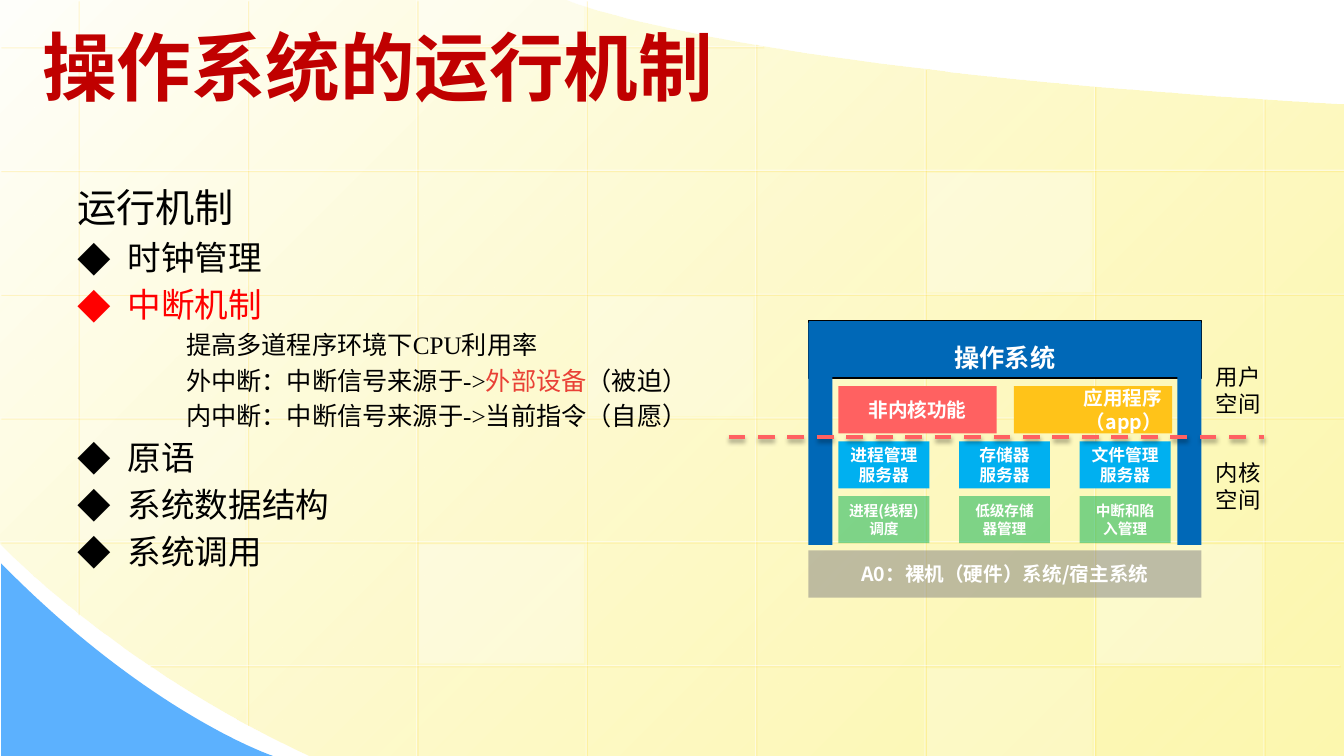
from lxml import etree
from pptx import Presentation
from pptx.dml.color import RGBColor
from pptx.enum.dml import MSO_LINE
from pptx.enum.shapes import MSO_CONNECTOR, MSO_SHAPE
from pptx.enum.text import MSO_ANCHOR, PP_ALIGN
from pptx.oxml.ns import qn
from pptx.util import Cm, Pt

RECT, LINE, DASH = MSO_SHAPE.RECTANGLE, MSO_CONNECTOR.STRAIGHT, MSO_LINE.DASH
LEFT, MID, RIGHT = PP_ALIGN.LEFT, PP_ALIGN.CENTER, PP_ALIGN.RIGHT
TOP, CENTER = MSO_ANCHOR.TOP, MSO_ANCHOR.MIDDLE
SANS, SERIF = "Noto Sans CJK SC", "Times New Roman"
WIDE, HIGH = 33.87, 19.05
BLACK, WHITE, RED, BLUE = "000000", "FFFFFF", "FF0000", "0068B7"


def rgb(code):
    return RGBColor.from_string(code)


def sub(node, tag, **vals):
    return etree.SubElement(node, qn(tag), {k: str(v) for k, v in vals.items()})


def fade(node, part):
    for clr in node.iter(qn("a:srgbClr")):
        sub(clr, "a:alpha", val=part * 1000)


def style(item, vals):
    for name, val in vals.items():
        setattr(item, name, val)


def paint(shape, color, alpha=100):
    shape.shadow.inherit = False
    shape.fill.solid()
    shape.fill.fore_color.rgb = rgb(color)
    if alpha < 100:
        fade(shape.element.spPr, alpha)
    shape.line.fill.background()


def block(slide, box, color, alpha=100):
    shape = slide.shapes.add_shape(RECT, *map(Cm, box))
    paint(shape, color, alpha)
    return shape


def rule(slide, ends, color, width, alpha, shade):
    line = slide.shapes.add_connector(LINE, *map(Cm, ends))
    line.line.color.rgb = rgb(color)
    line.line.width = Pt(width)
    if alpha < 100:
        fade(line.element.spPr, alpha)
    tint, part, blur, dist, turn = shade
    glow = sub(sub(line.element.spPr, "a:effectLst"), "a:outerShdw", blurRad=Pt(blur),
               dist=Pt(dist), dir=turn * 60000, algn="ctr", rotWithShape=0)
    sub(glow, "a:srgbClr", val=tint)
    fade(glow, part)
    return line


def curve(start, one, two, end, steps=40):
    for n in range(1, steps + 1):
        t = n / steps
        parts = (1 - t) ** 3, 3 * t * (1 - t) ** 2, 3 * t * t * (1 - t), t ** 3
        yield tuple(sum(w * p[i] for w, p in zip(parts, (start, one, two, end)))
                    for i in (0, 1))


def outline(slide, points):
    first, *rest = [tuple(map(Cm, p)) for p in points]
    form = slide.shapes.build_freeform(*first)
    form.add_line_segments(rest, close=True)
    return form.convert_to_shape()


def write(par, runs, size, face=SANS, bold=False, ratio=1.2):
    if ratio:
        par.line_spacing = Pt(size * ratio)
    for text, color in runs:
        run = par.add_run()
        run.text = text
        style(run.font, {"size": Pt(size), "name": face, "bold": bold})
        run.font.color.rgb = rgb(color)
        sub(run.font._element, "a:ea", typeface=SANS)


def fill(shape, text, size, color=WHITE, align=MID, anchor=CENTER, **kind):
    frame = shape.text_frame
    style(frame, {"word_wrap": True, "vertical_anchor": anchor})
    for n, row in enumerate(text.split("\n")):
        par = frame.add_paragraph() if n else frame.paragraphs[0]
        par.alignment = align
        write(par, [(row, color)], size, **kind)


def label(slide, box, text, size, color=BLACK, **kind):
    fill(slide.shapes.add_textbox(*map(Cm, box)), text, size, color, **kind)


def backdrop(slide, box):
    left, top, wide, high = box
    field = outline(slide, [
        (wide, 2.64), (wide, high), (7.8, high),
        *curve((7.8, high), (2.92, 16.79), (0, 13.69), (0, 13.69)),
        (left, top), (14.25, top),
        *curve((14.25, top), (14.25, top), (18.16, 1.75), (wide, 2.64))])
    paint(field, WHITE)
    field.fill.gradient()
    field.fill.gradient_angle = 315
    for stop, color, alpha in zip(field.fill.gradient_stops, ("FFFFFB", "FDF58D"), (100, 70)):
        stop.color.rgb = rgb(color)
        fade(stop._gs, alpha)
    paint(outline(slide, [
        (0.03, 14.2), (0.03, high), (6.88, high),
        *curve((6.88, high), (6.88, high), (3.78, 18.01), (0.03, 14.2))]), "5CB1FE")

    x, y, dx, dy = left + 1.96, top + 1.17, 4.27, 3.12
    look = WHITE, 0.75, 50, ("FFCC00", 34, 0, 1.4, 45)
    tops = 0, 0, 0, 0, 1.09, 1.73, 2.16, 2.49
    ends = [15.47, 18.26] + [high] * 6
    for n, (start, end) in enumerate(zip(tops, ends)):
        rule(slide, (x + n * dx, start, x + n * dx, end), *look)
    spans = [(0, 19.23)] + [(0, wide)] * 4 + [(3.76, 33.76)]
    for n, (start, end) in enumerate(spans):
        rule(slide, (end, y + n * dy, start, y + n * dy), *look)
    for col, row, alpha in ((3, 2, 25), (6, 4, 30), (0, 3, 20), (5, 5, 20),
                            (2, -1, 40), (2, 4, 30), (5, 1, 30)):
        start = y + row * dy + 0.07
        head, foot = max(top, start), min(high, start + 3)
        block(slide, (x + col * dx + 0.05, head, 4.17, foot - head), WHITE, alpha)


def outlist(slide, box):
    frame = slide.shapes.add_textbox(*map(Cm, box)).text_frame
    frame.word_wrap = True
    rows = [
        ("head", [("运行机制", BLACK)]),
        ("item", [("时钟管理", BLACK)]),
        ("item", [("中断机制", RED)]),
        ("note", [("提高多道程序环境下CPU利用率", BLACK)]),
        ("note", [("外中断：中断信号来源于->", BLACK), ("外部设备", "E94136"),
                  ("（被迫）", BLACK)]),
        ("note", [("内中断：中断信号来源于->当前指令（自愿）", BLACK)]),
        ("item", [("原语", BLACK)]),
        ("item", [("系统数据结构", BLACK)]),
        ("item", [("系统调用", BLACK)]),
    ]
    kinds = {"head": (28, SANS, 0, 0), "item": (24, SANS, 1.27, -1.27),
             "note": (18, SERIF, 2.74, 0)}
    for n, (kind, runs) in enumerate(rows):
        size, face, margin, indent = kinds[kind]
        par = frame.add_paragraph() if n else frame.paragraphs[0]
        if n:
            par.space_before = Pt(size * 0.2)
        props = par._p.get_or_add_pPr()
        props.set("marL", str(Cm(margin)))
        props.set("indent", str(Cm(indent)))
        if kind == "item":
            sub(props, "a:buFont", typeface=SANS)
            sub(props, "a:buChar", char="◆")
        write(par, runs, size, face)


def diagram(slide, box):
    x, y, wide, high = box
    row, leg, gap = 1.19, 0.61, 0.76
    base = block(slide, (x, y + high - row, wide, row), "808080", 50)
    fill(base, "A0：裸机（硬件）系统/宿主系统", 14, bold=True)
    roof = block(slide, (x, y, wide, 1.45), BLUE)
    roof.line.color.rgb = rgb(BLACK)
    roof.line.width = Pt(1)
    fill(roof, "操作系统", 18, anchor=TOP, bold=True, ratio=1.88)
    tops = "非内核功能", "应用程序（app）"
    for n, (text, color, align) in enumerate(zip(tops, ("FF6161", "FFC319"), (MID, RIGHT))):
        fill(block(slide, (x + gap + n * 4.42, y + 1.65, 3.99, row), color),
             text, 14, align=align, bold=True)
    servers = "进程管理\n服务器", "存储器\n服务器", "文件管理\n服务器"
    cores = "进程(线程)调度", "低级存储器管理", "中断和陷入管理"
    for n, (texts, color, alpha, size) in enumerate(((servers, "00B0F0", 100, 12),
                                                     (cores, "00B050", 50, 10.5))):
        for col, text in enumerate(texts):
            cell = x + gap + col * 3.04, y + 3.04 + n * 1.38, 2.29, row
            fill(block(slide, cell, color, alpha), text, size, bold=True)
    for side in (x, x + wide - leg):
        block(slide, (side, y + 0.05, leg, 5.6), BLUE)
    for top, text in ((0.95, "用户\n空间"), (3.36, "内核\n空间")):
        label(slide, (x + wide - 0.28, y + top, 2.41, 1.63), text, 16, anchor=TOP)
    split = rule(slide, (x - 2.01, y + 2.94, x + 11.48, y + 2.94),
                 "FF6161", 3, 100, (BLACK, 35, 3.1, 1.8, 90))
    split.line.dash_style = DASH


def main():
    deck = Presentation()
    style(deck, {"slide_width": Cm(WIDE), "slide_height": Cm(HIGH)})
    slide = deck.slides.add_slide(deck.slide_layouts[6])
    backdrop(slide, (0, 0, WIDE, HIGH))
    outlist(slide, (1.7, 4.5, 16.26, 12.57))
    label(slide, (0.81, 0.36, 30.48, 2.57), "操作系统的运行机制", 53.3, "C00000",
          align=LEFT, face=SERIF, bold=True, ratio=None)
    diagram(slide, (20.37, 8.08, 9.91, 6.98))
    deck.save("out.pptx")


if __name__ == "__main__":
    main()
